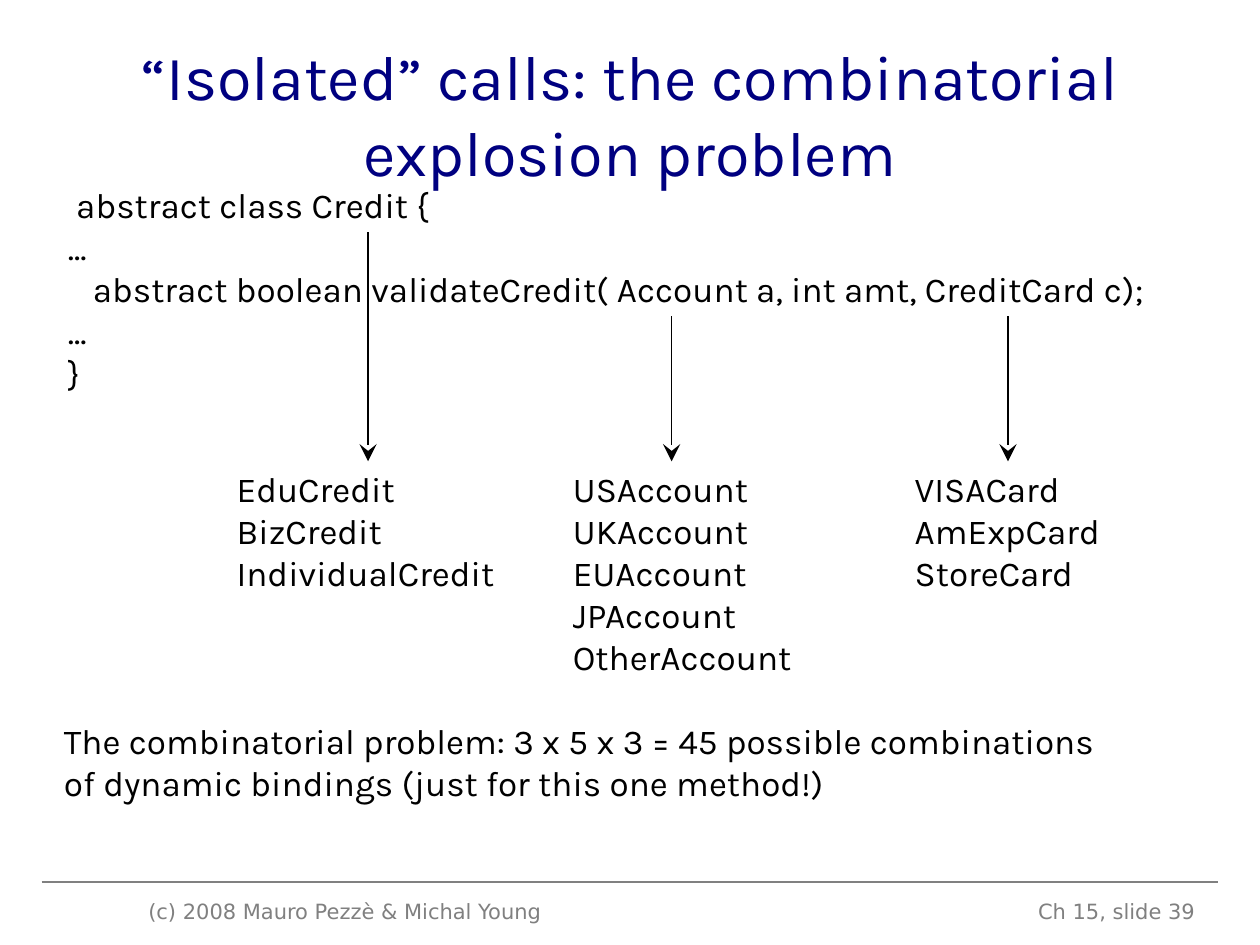
from dataclasses import dataclass

from lxml import etree
from pptx import Presentation
from pptx.dml.color import RGBColor
from pptx.enum.shapes import MSO_CONNECTOR
from pptx.enum.text import MSO_ANCHOR, PP_ALIGN
from pptx.oxml.ns import qn
from pptx.util import Cm, Pt


@dataclass(frozen=True)
class Theme:
    title_color: RGBColor = RGBColor(0x00, 0x00, 0x80)
    body_color: RGBColor = RGBColor(0x00, 0x00, 0x00)
    footer_color: RGBColor = RGBColor(0x80, 0x80, 0x80)
    body_font: str = "Karla"
    footer_font: str = "DejaVu Sans"
    title_size: int = 36
    body_size: int = 20
    footer_size: int = 12
    line_width: float = 0.75


THEME = Theme()
TITLE_STYLE = (THEME.body_font, THEME.title_size, THEME.title_color)
BODY_STYLE = (THEME.body_font, THEME.body_size, THEME.body_color)
FOOTER_STYLE = (THEME.footer_font, THEME.footer_size, THEME.footer_color)

TITLE = "“Isolated” calls: the combinatorial explosion problem"
CODE = [
    " abstract class Credit {",
    "...",
    "   abstract boolean validateCredit( Account a, int amt, CreditCard c);",
    "...",
    "}",
]
# Each type used in the code: the code line its arrow leaves, arrow x,
# left edge of the list (cm), and the subclasses it may be bound to.
BINDINGS = [
    (0, 7.42, 4.52, ["EduCredit", "BizCredit", "IndividualCredit"]),
    (2, 13.54, 11.3, ["USAccount", "UKAccount", "EUAccount", "JPAccount",
                      "OtherAccount"]),
    (2, 20.32, 18.19, ["VISACard", "AmExpCard", "StoreCard"]),
]
CONCLUSION = [
    "The combinatorial problem: 3 x 5 x 3 = 45 possible combinations",
    "of dynamic bindings (just for this one method!)",
]
COPYRIGHT = "(c) 2008 Mauro Pezzè & Michal Young"
PAGE = "Ch 15, slide 39"

# Layout in centimetres
SLIDE_WIDTH, SLIDE_HEIGHT = 25.4, 19.05
LINE_HEIGHT = 0.85
BOX_PADDING = 0.25
CODE_TOP = 3.58
SUBCLASS_TOP, SUBCLASS_WIDTH = 9.3, 6
RULE_MARGIN, RULE_Y = 0.84, 17.78
FOOTER_TOP, FOOTER_HEIGHT = 17.98, 0.69


def add_text(slide, lines, left, top, width, style, height=None,
             align=PP_ALIGN.LEFT, anchor=MSO_ANCHOR.TOP):
    """Add one paragraph per line; without a height, fit the body lines."""
    height = height or len(lines) * LINE_HEIGHT + BOX_PADDING
    frame = slide.shapes.add_textbox(
        Cm(left), Cm(top), Cm(width), Cm(height)).text_frame
    frame.word_wrap = True
    frame.vertical_anchor = anchor
    frame.text = "\n".join(lines)
    for paragraph in frame.paragraphs:
        paragraph.alignment = align
        font = paragraph.font
        font.name, size, font.color.rgb = style
        font.size = Pt(size)


def add_line(slide, start, end, color, arrow=False):
    line = slide.shapes.add_connector(
        MSO_CONNECTOR.STRAIGHT, *map(Cm, start + end))
    line.line.color.rgb = color
    line.line.width = Pt(THEME.line_width)
    if arrow:
        etree.SubElement(line.line._get_or_add_ln(), qn("a:tailEnd"),
                         type="stealth", w="lg", len="lg")
    etree.SubElement(line._element.spPr, qn("a:effectLst"))


def main():
    deck = Presentation()
    deck.slide_width, deck.slide_height = Cm(SLIDE_WIDTH), Cm(SLIDE_HEIGHT)
    slide = deck.slides.add_slide(deck.slide_layouts[6])

    add_line(slide, (RULE_MARGIN, RULE_Y), (SLIDE_WIDTH - RULE_MARGIN, RULE_Y),
             THEME.footer_color)
    add_text(slide, [COPYRIGHT], 2.74, FOOTER_TOP, 8.89, FOOTER_STYLE,
             FOOTER_HEIGHT)
    add_text(slide, [PAGE], 18.42, FOOTER_TOP, 5.92, FOOTER_STYLE,
             FOOTER_HEIGHT, PP_ALIGN.RIGHT)

    add_text(slide, [TITLE], 1.27, 0.76, 22.86, TITLE_STYLE, 3.05,
             PP_ALIGN.CENTER, MSO_ANCHOR.MIDDLE)
    add_text(slide, CODE, 1.12, CODE_TOP, 23.2, BODY_STYLE)

    for code_line, arrow_x, left, subclasses in BINDINGS:
        arrow_top = CODE_TOP + BOX_PADDING + (code_line + 1) * LINE_HEIGHT
        add_text(slide, subclasses, left, SUBCLASS_TOP, SUBCLASS_WIDTH,
                 BODY_STYLE)
        add_line(slide, (arrow_x, arrow_top), (arrow_x, SUBCLASS_TOP),
                 THEME.body_color, arrow=True)

    add_text(slide, CONCLUSION, 1.04, 14.38, 22.2, BODY_STYLE)
    deck.save("out.pptx")


if __name__ == "__main__":
    main()
